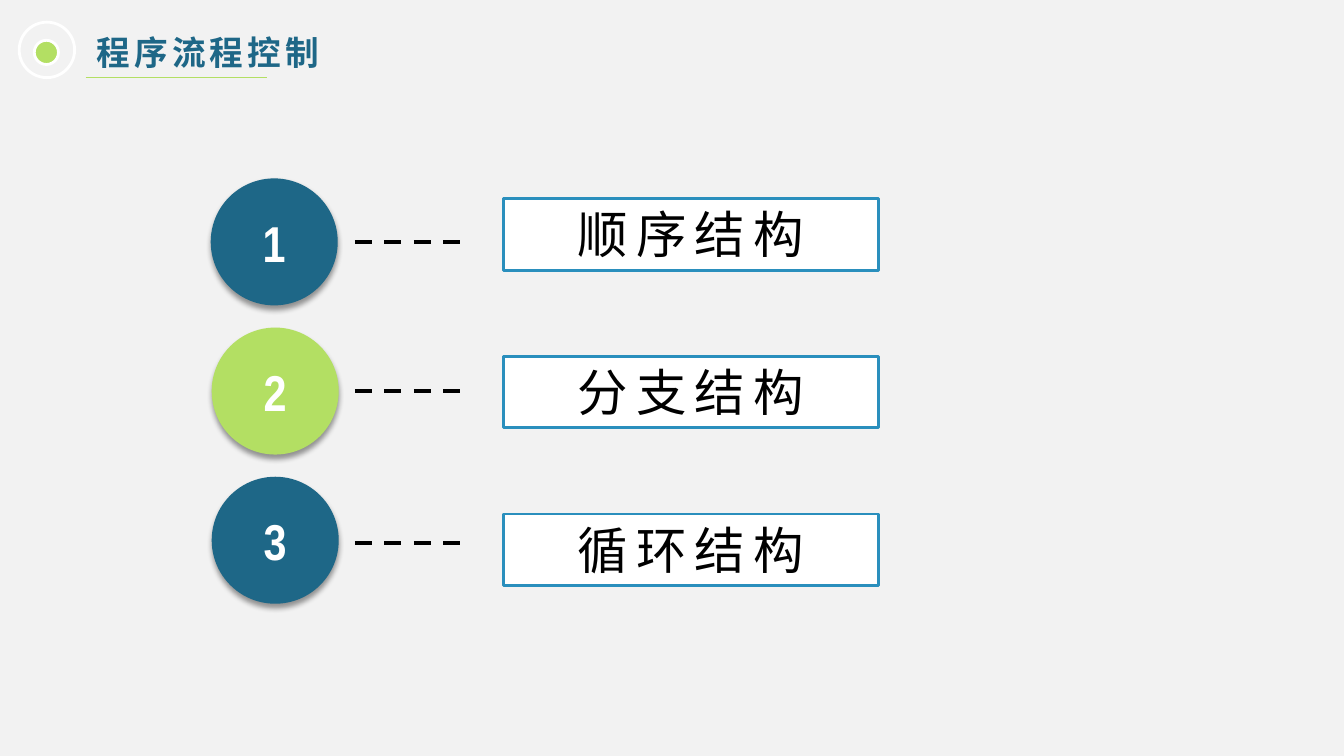
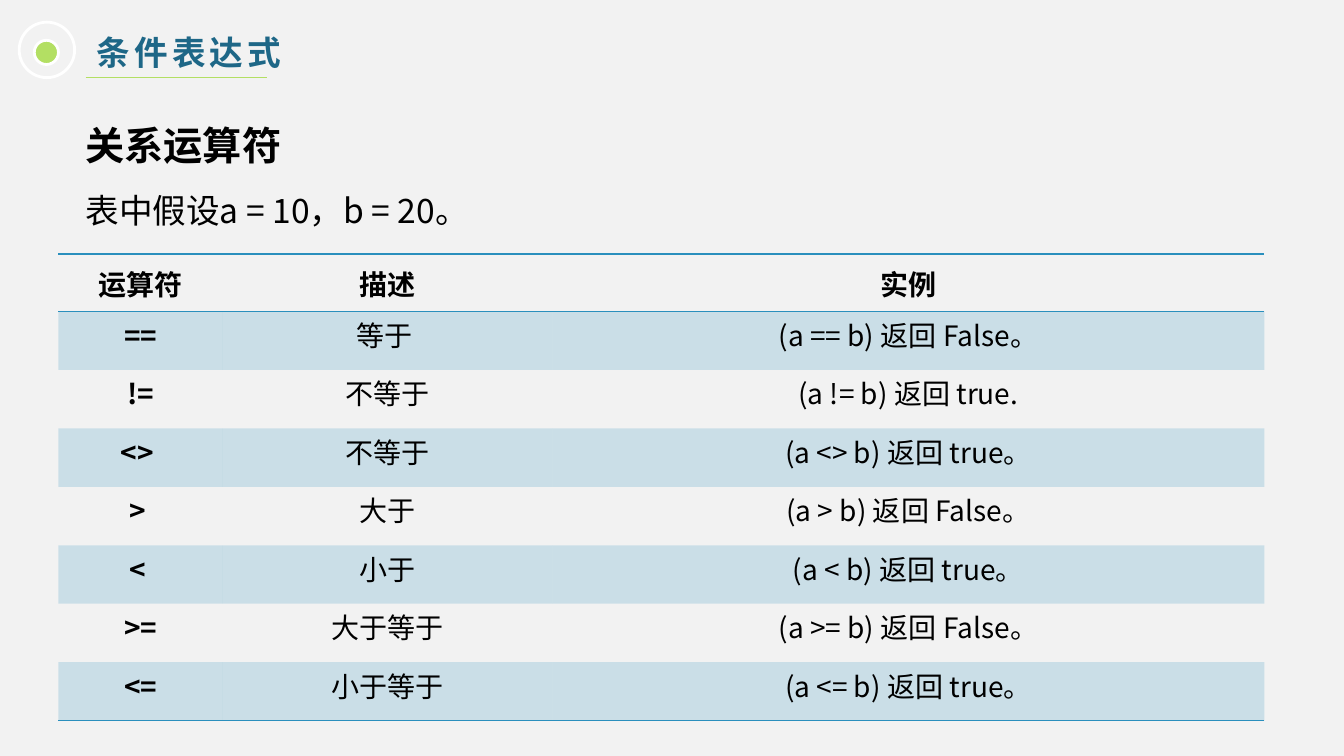
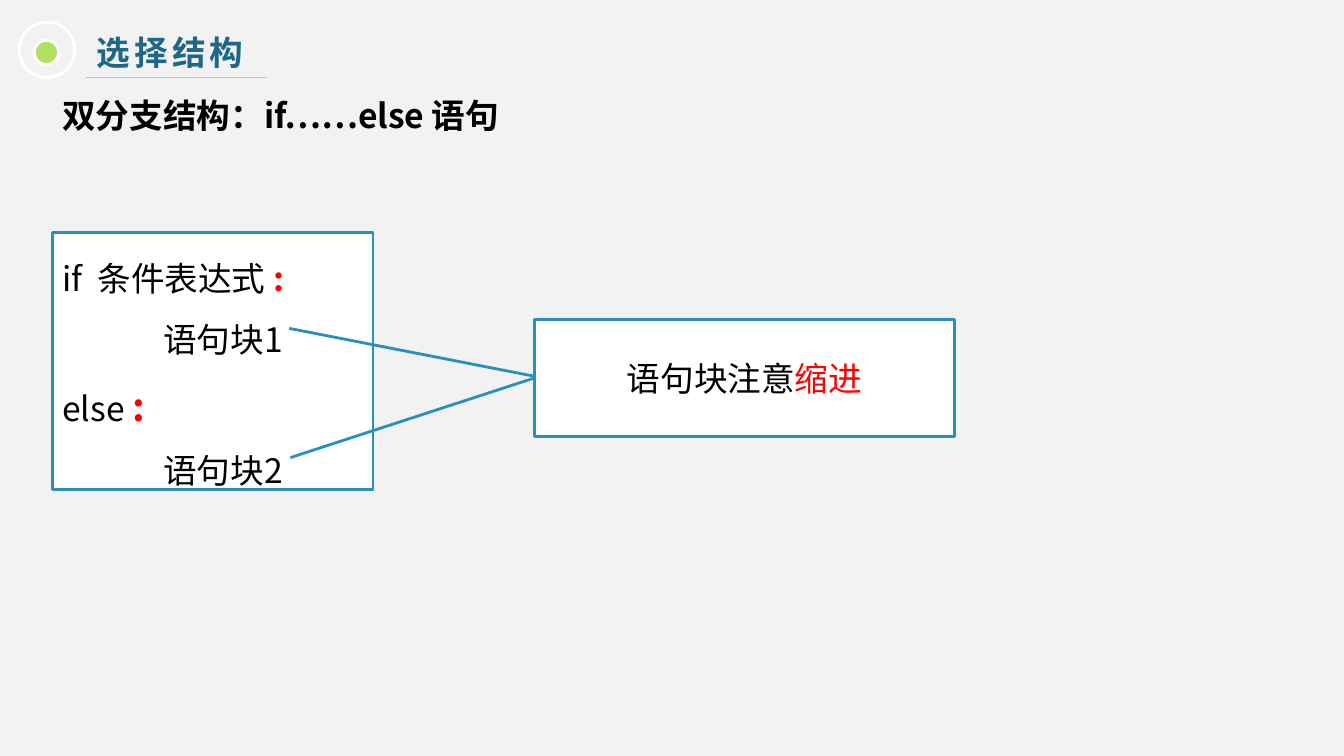
from dataclasses import dataclass

from lxml import etree
from pptx import Presentation
from pptx.dml import color
from pptx.enum import dml, shapes, text
from pptx.oxml import ns
from pptx.util import Inches, Pt


@dataclass(frozen=True)
class Theme:
    back: str = "F2F2F2"
    navy: str = "1E6787"
    blue: str = "2A8FBD"
    green: str = "B3DF63"
    white: str = "FFFFFF"
    black: str = "000000"
    red: str = "FF0000"
    font: str = "Noto Sans CJK SC"
    label_font: str = "Calibri"
    number_font: str = "Arial Narrow"
    cell: int = 20
    body: int = 24
    heading: int = 28
    label: int = 36


T = Theme()
RGB = color.RGBColor.from_string
KIND = shapes.MSO_SHAPE
LEFT, CENTER, JUSTIFY = (text.PP_ALIGN.LEFT, text.PP_ALIGN.CENTER,
                         text.PP_ALIGN.JUSTIFY)
TOP, MIDDLE = text.MSO_ANCHOR.TOP, text.MSO_ANCHOR.MIDDLE


def write(p, runs, align=LEFT, spacing=None, margin=0, indent=0):
    """Fill a paragraph with (text, format) runs."""
    p.alignment = align
    if spacing:
        p.line_spacing = spacing
    if margin or indent:
        pPr = p._p.get_or_add_pPr()
        pPr.set("marL", str(Inches(margin)))
        pPr.set("indent", str(Inches(indent)))
    for words, fmt in runs:
        r = p.add_run()
        r.text = words
        r.font.size = Pt(fmt.get("size", T.body))
        r.font.bold = fmt.get("bold", False)
        r.font.name = fmt.get("font", T.font)
        r.font.color.rgb = RGB(fmt.get("color", T.black))
        rPr = r._r.get_or_add_rPr()
        etree.SubElement(rPr, ns.qn("a:ea"), typeface=T.font)
        if "spread" in fmt:
            rPr.set("spc", str(fmt["spread"] * 100))


def block(s, at, kind=None, fill=None, line=None, anchor=TOP, grow=False):
    """Add a preset shape, or a text box when no kind is given."""
    box = [Inches(v) for v in at]
    if kind is None:
        sp = s.shapes.add_textbox(*box)
    else:
        sp = s.shapes.add_shape(kind, *box)
        sp.shadow.inherit = False
        if fill:
            sp.fill.solid()
            sp.fill.fore_color.rgb = RGB(fill)
        else:
            sp.fill.background()
        if line:
            sp.line.color.rgb = RGB(line)
            sp.line.width = Pt(2)
        else:
            sp.line.fill.background()
    tf = sp.text_frame
    tf.word_wrap = True
    tf.vertical_anchor = anchor
    if grow:
        tf.auto_size = text.MSO_AUTO_SIZE.SHAPE_TO_FIT_TEXT
    return sp


prs = Presentation()
prs.slide_width, prs.slide_height = Inches(13.33), Inches(7.5)
prs.slide_master.background.fill.solid()
prs.slide_master.background.fill.fore_color.rgb = RGB(T.back)

# Title, ring badge and underline of every slide
slides, lines = [], []
for title in ("程序流程控制", "条件表达式", "选择结构"):
    s = prs.slides.add_slide(prs.slide_layouts[6])
    slides.append(s)
    sp = block(s, (0.86, 0.27, 6.84, 0.5), grow=True)
    write(sp.text_frame.paragraphs[0],
          [(title, dict(bold=True, color=T.navy, spread=3))])
    block(s, (0.34, 0.4, 0.24, 0.24), KIND.OVAL, T.green, T.white)
    block(s, (0.19, 0.22, 0.55, 0.55), KIND.OVAL, None, T.white)
    lines.append((s, (0.85, 0.77), (2.65, 0.77), T.green, 0.75, None))
structures, operators, branches = slides

# Slide 1: three numbered structures
rows = [("顺序结构", T.navy, 2.09, 2.4),
        ("分支结构", T.green, 2.1, 3.88),
        ("循环结构", T.navy, 2.1, 5.39)]
for i, (name, fill, left, dash_y) in enumerate(rows):
    sp = block(structures, (left, 1.77 + 1.48 * i, 1.26, 1.26), KIND.OVAL,
               fill, anchor=MIDDLE)
    write(sp.text_frame.paragraphs[0],
          [(str(i + 1), dict(size=T.label, bold=True, color=T.white,
                             font=T.number_font))], CENTER)
    shadow = etree.SubElement(
        sp._element.spPr.find(ns.qn("a:effectLst")), ns.qn("a:outerShdw"),
        blurRad=str(Pt(4)), dist=str(Pt(3)), dir="5400000", rotWithShape="0")
    tint = etree.SubElement(shadow, ns.qn("a:srgbClr"), val=T.black)
    etree.SubElement(tint, ns.qn("a:alpha"), val="40000")
    lines.append((structures, (3.52, dash_y), (4.62, dash_y), T.black, 3,
                  dml.MSO_LINE.DASH))
    sp = block(structures, (4.99, 1.97 + 1.565 * i, 3.72, 0.71),
               KIND.RECTANGLE, T.white, T.blue, grow=True)
    write(sp.text_frame.paragraphs[0],
          [(name, dict(size=T.label, font=T.label_font, spread=6))], CENTER)

# Slide 2: headings
sp = block(operators, (0.46, 0.92, 11.96, 0.72), grow=True)
write(sp.text_frame.paragraphs[0],
      [("关系运算符", dict(size=T.heading, bold=True))], JUSTIFY, 1.5,
      indent=0.29)
sp = block(operators, (0.46, 1.63, 12.16, 0.72), grow=True)
write(sp.text_frame.paragraphs[0], [("表中假设a = 10，b = 20。", {})],
      spacing=1.5, indent=0.29)

# Slide 2: operator table
cells = [("运算符", "描述", "实例"),
         ("==", "等于 ", "(a == b) 返回 False。"),
         ("!=", "不等于", "(a != b) 返回 true."),
         ("<> ", "不等于", "(a <> b) 返回 true。"),
         ("> ", "大于", "(a > b) 返回 False。"),
         ("< ", "小于", "(a < b) 返回 true。"),
         (">=", "大于等于", "(a >= b) 返回 False。"),
         ("<=", "小于等于", "(a <= b) 返回 true。")]
table = operators.shapes.add_table(
    len(cells), 3, Inches(0.58), Inches(2.52), Inches(11.96),
    Inches(4.62)).table
table.first_row = table.horz_banding = False
table._tbl.tblPr.find(ns.qn("a:tableStyleId")).text = \
    "{2D5ABB26-0587-4C30-8999-92F81FD0307C}"
for column, width in zip(table.columns, (1.63, 3.27, 7.06)):
    column.width = Inches(width)
for i, row in enumerate(cells):
    header = i == 0
    table.rows[i].height = Inches(0.57 if header else 0.58)
    borders = ("lnT", "lnB") if header else \
        ("lnB",) if i == len(cells) - 1 else ()
    for j, words in enumerate(row):
        cell = table.cell(i, j)
        cell.vertical_anchor = MIDDLE
        cell.margin_left = cell.margin_right = Inches(0.03 if header else 0.05)
        cell.margin_top = cell.margin_bottom = Inches(0.03 if header else 0.07)
        write(cell.text_frame.paragraphs[0],
              [(words, dict(size=T.cell, bold=header or j == 0))], CENTER,
              None if header else Pt(19.5))
        tcPr = cell._tc.get_or_add_tcPr()
        for side in borders:
            ln = etree.SubElement(tcPr, ns.qn("a:" + side), w=str(Pt(1)))
            solid = etree.SubElement(ln, ns.qn("a:solidFill"))
            etree.SubElement(solid, ns.qn("a:srgbClr"), val=T.blue)
        if i % 2:
            cell.fill.solid()
            cell.fill.fore_color.rgb = RGB(T.blue)
            tint = tcPr.find(ns.qn("a:solidFill")).find(ns.qn("a:srgbClr"))
            etree.SubElement(tint, ns.qn("a:alpha"), val="20000")
        else:
            cell.fill.background()

# Slide 3: heading
sp = block(branches, (0.52, 0.82, 12.29, 0.54), grow=True)
p = sp.text_frame.paragraphs[0]
write(p, [("双分支结构：if……else 语句", dict(bold=True))], spacing=Pt(34))
p.space_after = Pt(12)

# Slide 3: if / else syntax
sp = block(branches, (0.52, 2.31, 3.18, 2.55), KIND.RECTANGLE, T.white, T.blue,
           grow=True)
colon = dict(bold=True, color=T.red)
syntax = [(0, [("if  条件表达式 ", {}), (":", colon)]),
          (1, [("语句块1", {})]),
          (0, [("else ", {}), (":", dict(colon, size=T.heading))]),
          (1, [("语句块2", {})])]
tf = sp.text_frame
for i, (margin, runs) in enumerate(syntax):
    p = tf.add_paragraph() if i else tf.paragraphs[0]
    write(p, runs, spacing=1.5, margin=margin)

# Slide 3: callout on indentation
sp = block(branches, (5.3, 3.17, 4.17, 1.16), KIND.LINE_CALLOUT_1, T.white,
           T.blue, MIDDLE)
for i, value in enumerate((0.487, 0.002, 0.076, -0.583)):
    sp.adjustments[i] = value
write(sp.text_frame.paragraphs[0],
      [("语句块注意", {}), ("缩进", dict(color=T.red))], CENTER)
lines.append((branches, (2.88, 4.54), (5.3, 3.75), T.blue, 2, None))

# Straight lines of all slides
for s, start, end, tone, width, dash in lines:
    cx = s.shapes.add_connector(shapes.MSO_CONNECTOR.STRAIGHT,
                                *[Inches(v) for v in start + end])
    cx.line.color.rgb = RGB(tone)
    cx.line.width = Pt(width)
    if dash:
        cx.line.dash_style = dash
    etree.SubElement(cx._element.spPr, ns.qn("a:effectLst"))

prs.save("out.pptx")
